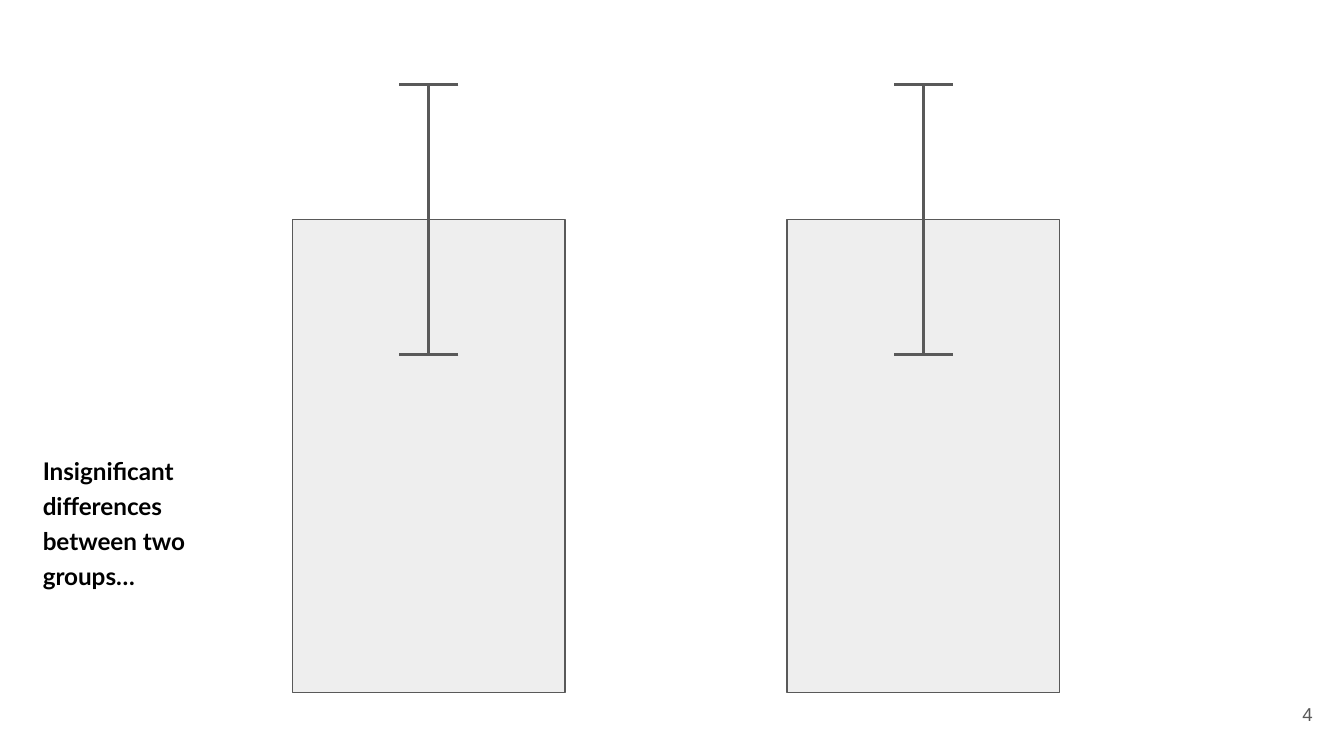
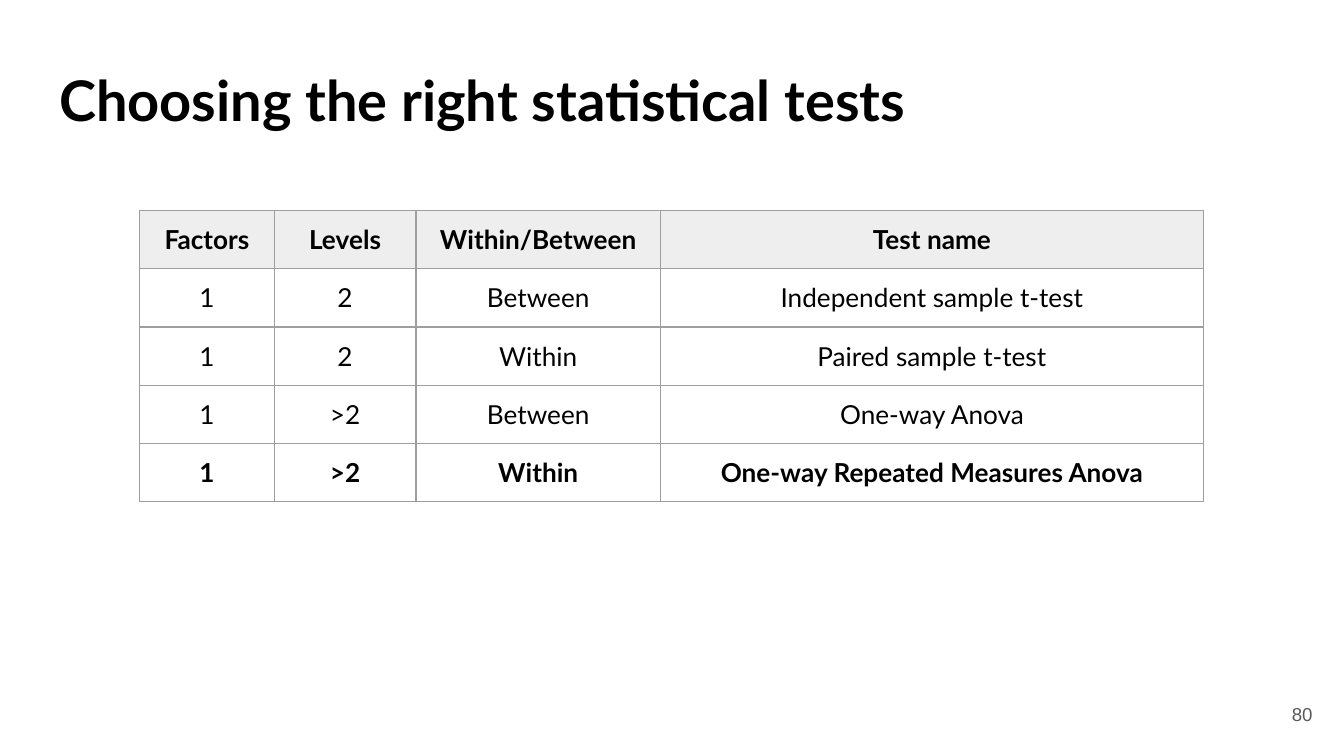
from dataclasses import dataclass

import lxml.etree
import pptx
import pptx.dml.color
import pptx.enum.shapes
import pptx.enum.text
import pptx.oxml.ns
import pptx.util

PX = pptx.util.Inches(1) // 200
MARGIN = 20
ALIGN = pptx.enum.text.PP_ALIGN
ANCHOR = pptx.enum.text.MSO_ANCHOR


@dataclass(frozen=True)
class Theme:
    """Colours, fonts, type sizes and line widths shared by the slides."""

    ink: str = "000000"
    grey: str = "595959"
    pale: str = "EEEEEE"
    grid: str = "9E9E9E"
    body_font: str = "Lato"
    number_font: str = "Arial"
    title_size: int = 30
    table_size: int = 14
    caption_size: int = 13
    number_size: int = 10
    thin: float = 0.75
    thick: float = 1.5


THEME = Theme()


def colour(value):
    """Return the RGB colour for a hex string."""
    return pptx.dml.color.RGBColor.from_string(value)


def lengths(*values):
    """Turn px into EMU."""
    return [value * PX for value in values]


def assign(target, formats):
    """Set each named attribute of the target."""
    for name, value in formats.items():
        setattr(target, name, value)


def set_margins(target):
    """Give a text frame or table cell even margins."""
    assign(target, {f"margin_{side}": MARGIN * PX
                    for side in ("left", "top", "right", "bottom")})


def write(frame, text, size, paragraph=None, font=THEME.body_font,
          ink=THEME.ink, bold=False):
    """Put one formatted paragraph in a text frame."""
    para = frame.paragraphs[0]
    assign(para, paragraph or {})
    span = para.add_run()
    span.text = text
    assign(span.font, {"name": font, "size": pptx.util.Pt(size), "bold": bold})
    span.font.color.rgb = colour(ink)


def fill_frame(frame, text, size, anchor=ANCHOR.TOP, **formats):
    """Set up a wrapping text frame and write in it."""
    set_margins(frame)
    assign(frame, {"word_wrap": True, "vertical_anchor": anchor,
                   "auto_size": pptx.enum.text.MSO_AUTO_SIZE.NONE})
    write(frame, text, size, **formats)


def add_text(page, place, text, size, **formats):
    """Add a text box."""
    box = page.shapes.add_textbox(*lengths(*place))
    fill_frame(box.text_frame, text, size, **formats)


def add_page_number(page, number):
    """Add the number in the lower right corner."""
    add_text(page, (1853, 1020, 120, 86), number, THEME.number_size,
             paragraph={"alignment": ALIGN.RIGHT}, anchor=ANCHOR.MIDDLE,
             font=THEME.number_font, ink=THEME.grey)


def set_title(page, text):
    """Place and format the title placeholder."""
    title = page.shapes.title
    assign(title, dict(zip(("left", "top", "width", "height"), lengths(68, 97, 1864, 126))))
    fill_frame(title.text_frame, text, THEME.title_size, bold=True,
               paragraph={"alignment": ALIGN.LEFT, "line_spacing": 0.8})


def style_line(line, width):
    """Give a line the grey colour and a width."""
    line.color.rgb = colour(THEME.grey)
    line.width = pptx.util.Pt(width)


def add_bar(page, left, top, width, height):
    """Add a pale bar with a thin outline."""
    bar = page.shapes.add_shape(pptx.enum.shapes.MSO_SHAPE.RECTANGLE,
                                *lengths(left, top, width, height))
    bar.shadow.inherit = False
    bar.fill.solid()
    bar.fill.fore_color.rgb = colour(THEME.pale)
    style_line(bar.line, THEME.thin)


def add_error_bar(page, centre, top, bottom, half_cap):
    """Add a grouped error bar with a cap at each end."""
    group = page.shapes.add_group_shape()
    strokes = [(centre, top, centre, bottom)]
    strokes += [(centre + half_cap, y, centre - half_cap, y) for y in (top, bottom)]
    for stroke in strokes:
        line = group.shapes.add_connector(pptx.enum.shapes.MSO_CONNECTOR.STRAIGHT,
                                          *lengths(*stroke))
        style_line(line.line, THEME.thick)
        lxml.etree.SubElement(line._element.spPr, pptx.oxml.ns.qn("a:effectLst"))


def add_borders(cell):
    """Draw the four borders of a table cell."""
    properties = cell._tc.get_or_add_tcPr()
    for side in ("lnL", "lnR", "lnT", "lnB"):
        border = lxml.etree.SubElement(properties, pptx.oxml.ns.qn(f"a:{side}"),
                                       w=str(pptx.util.Pt(THEME.thin)))
        fill = lxml.etree.SubElement(border, pptx.oxml.ns.qn("a:solidFill"))
        lxml.etree.SubElement(fill, pptx.oxml.ns.qn("a:srgbClr"), val=THEME.grid)


def add_table(page, left, top, widths, row_height, rows):
    """Add a centred table with a pale header and bold first and last rows."""
    place = lengths(left, top, sum(widths), row_height * len(rows))
    table = page.shapes.add_table(len(rows), len(widths), *place).table
    for column, width in zip(table.columns, widths):
        column.width = width * PX
    for row_index, row in enumerate(rows):
        for column_index, text in enumerate(row):
            cell = table.cell(row_index, column_index)
            add_borders(cell)
            if row_index == 0:
                cell.fill.solid()
                cell.fill.fore_color.rgb = colour(THEME.pale)
            else:
                cell.fill.background()
            set_margins(cell)
            write(cell.text_frame, text, THEME.table_size,
                  paragraph={"alignment": ALIGN.CENTER},
                  bold=row_index in (0, len(rows) - 1))


def build_groups_page(page):
    """Show two equal bars with overlapping error bars."""
    for left in (435, 1171):
        add_bar(page, left, 327, 406, 704)
        add_error_bar(page, left + 203, 126, 528, 44)
    add_text(page, (44, 804, 346, 95), "Insignificant differences between two groups…",
             THEME.caption_size, anchor=ANCHOR.BOTTOM, bold=True,
             paragraph={"line_spacing": 1.2, "space_after": pptx.util.Pt(10)})
    add_page_number(page, "4")


def build_tests_page(page):
    """Show the table of statistical tests."""
    set_title(page, "Choosing the right statistical tests")
    add_table(page, 208, 313, (200, 211, 364, 808), 84, [
        ("Factors", "Levels", "Within/Between", "Test name"),
        ("1", "2", "Between", "Independent sample t-test"),
        ("1", "2", "Within", "Paired sample t-test"),
        ("1", ">2", "Between", "One-way Anova"),
        ("1", ">2", "Within", "One-way Repeated Measures Anova"),
    ])
    add_page_number(page, "80")


def main():
    """Build and save the deck."""
    deck = pptx.Presentation()
    deck.slide_width, deck.slide_height = lengths(2000, 1125)
    title_only, blank = deck.slide_layouts[5], deck.slide_layouts[6]
    build_groups_page(deck.slides.add_slide(blank))
    build_tests_page(deck.slides.add_slide(title_only))
    deck.save("out.pptx")


if __name__ == "__main__":
    main()
